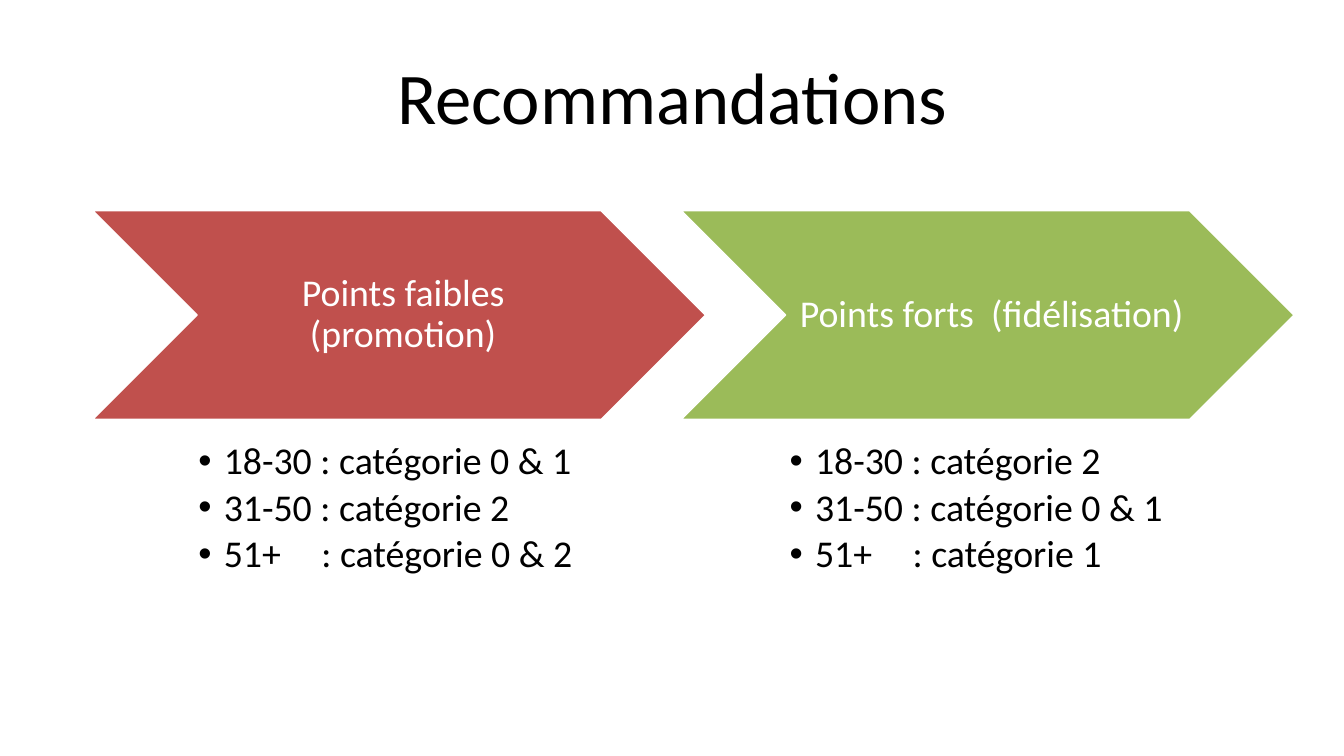
from lxml.etree import SubElement
from pptx import Presentation
from pptx.dml.color import RGBColor
from pptx.enum.shapes import MSO_SHAPE as Shape
from pptx.enum.text import MSO_ANCHOR as Anchor, PP_ALIGN as Align
from pptx.oxml.ns import qn
from pptx.util import Cm, Pt

BLACK = RGBColor(0x00, 0x00, 0x00)
WHITE = RGBColor(0xFF, 0xFF, 0xFF)
RED = RGBColor(0xC0, 0x50, 0x4D)
GREEN = RGBColor(0x9B, 0xBB, 0x59)

LEFT = 2.34
COLUMN_STEP = 14.83
LIST_LEFT = 5.0
LIST_STEP = 14.9

COLUMNS = [
    ("Points faibles (promotion)", RED,
     ["18-30 : catégorie 0 & 1", "31-50 : catégorie 2", "51+\t: catégorie 0 & 2"]),
    ("Points forts  (fidélisation)", GREEN,
     ["18-30 : catégorie 2", "31-50 : catégorie 0 & 1", "51+\t: catégorie 1"]),
]


class SlideBuilder:
    font_name = "Calibri"
    body_size = 27
    line_spacing = 0.9

    def __init__(self, slide):
        self.slide = slide

    def style(self, paragraph, size, color, align):
        paragraph.alignment = align
        paragraph.line_spacing = self.line_spacing
        font = paragraph.font
        font.name = self.font_name
        font.size = Pt(size)
        font.color.rgb = color

    def set_frame(self, frame, anchor, margins):
        """Margins are left, top, right and bottom, in centimetres."""
        frame.word_wrap = True
        frame.vertical_anchor = anchor
        (frame.margin_left, frame.margin_top,
         frame.margin_right, frame.margin_bottom) = map(Cm, margins)

    def text_box(self, left, top, width, height):
        box = self.slide.shapes.add_textbox(Cm(left), Cm(top), Cm(width), Cm(height))
        return box.text_frame

    def title(self, text):
        frame = self.text_box(LEFT, 0.97, 29.21, 3.15)
        self.set_frame(frame, Anchor.MIDDLE, (0.25, 0.13, 0.25, 0.13))
        frame.text = text
        self.style(frame.paragraphs[0], 52, BLACK, Align.CENTER)

    def chevron(self, left, text, color):
        shape = self.slide.shapes.add_shape(
            Shape.CHEVRON, Cm(left), Cm(5.31), Cm(15.44), Cm(5.26))
        shape.shadow.inherit = False
        shape.fill.solid()
        shape.fill.fore_color.rgb = color
        shape.line.color.rgb = WHITE
        shape.line.width = Pt(1)
        self.set_frame(shape.text_frame, Anchor.MIDDLE, (0.3, 0.1, 0.1, 0.1))
        shape.text_frame.text = text
        self.style(shape.text_frame.paragraphs[0], self.body_size, WHITE, Align.CENTER)

    def bullet_list(self, left, items):
        frame = self.text_box(left, 11.14, 10.4, 4.6)
        self.set_frame(frame, Anchor.TOP, (0, 0, 0, 0))
        frame.text = "\n".join(items)
        for paragraph in frame.paragraphs:
            self.add_bullet(paragraph)
            self.style(paragraph, self.body_size, BLACK, Align.LEFT)
            paragraph.space_after = Pt(4)

    def add_bullet(self, paragraph):
        """Add a hanging bullet and a tab stop that lines up the colon."""
        properties = paragraph._p.get_or_add_pPr()
        indent = Cm(0.64)
        properties.set("marL", str(indent))
        properties.set("indent", str(-indent))
        SubElement(properties, qn("a:buFont"), typeface="Arial")
        SubElement(properties, qn("a:buChar"), char="•")
        tabs = SubElement(properties, qn("a:tabLst"))
        SubElement(tabs, qn("a:tab"), pos=str(Cm(3.1)), algn="l")


def main():
    presentation = Presentation()
    presentation.slide_width = Cm(33.87)
    presentation.slide_height = Cm(19.05)
    builder = SlideBuilder(presentation.slides.add_slide(presentation.slide_layouts[6]))
    builder.title("Recommandations")
    for index, (heading, color, items) in enumerate(COLUMNS):
        builder.chevron(LEFT + index * COLUMN_STEP, heading, color)
        builder.bullet_list(LIST_LEFT + index * LIST_STEP, items)
    presentation.save("out.pptx")


if __name__ == "__main__":
    main()
